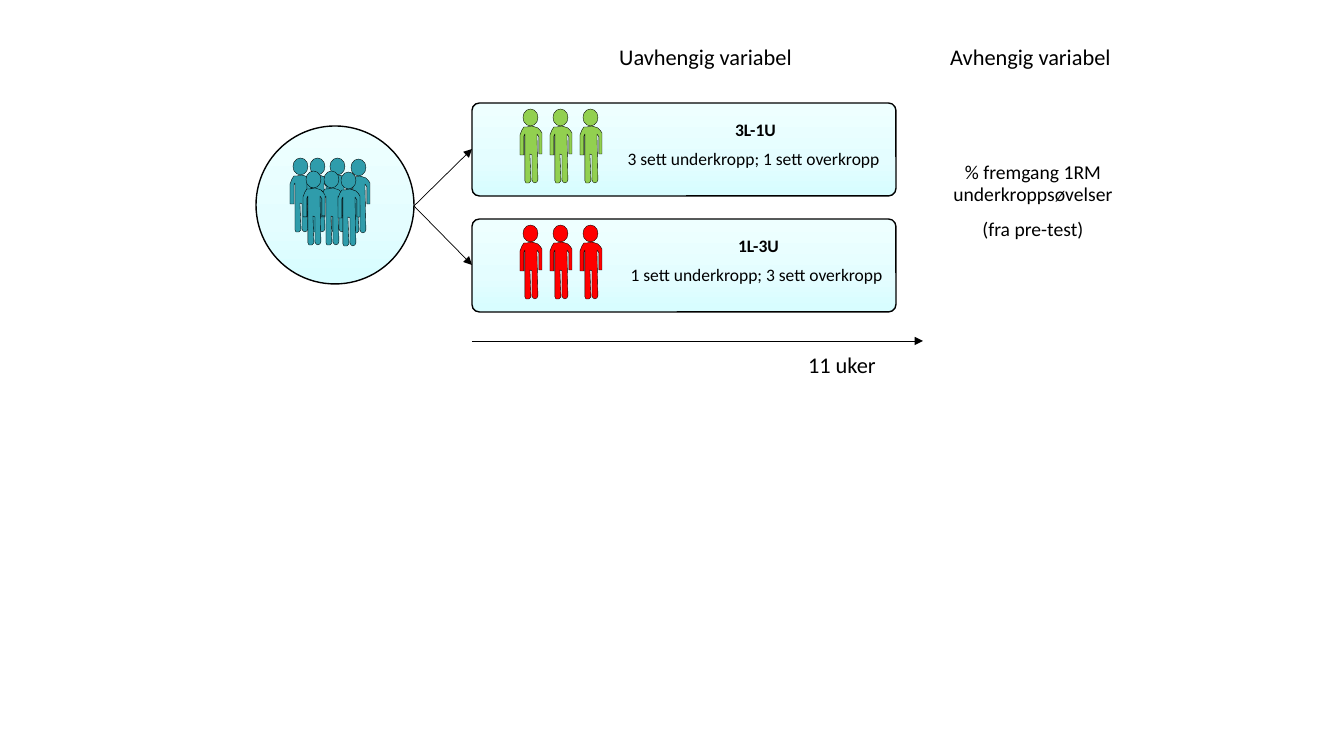
from copy import deepcopy
from dataclasses import dataclass

from pptx import Presentation
from pptx import util as u
from pptx.dml.color import RGBColor
from pptx.enum import shapes, text
from pptx.oxml.ns import qn
from pptx.oxml.xmlchemy import OxmlElement


@dataclass(frozen=True)
class Theme:
    """Colours, type sizes and line widths of the slide."""
    font: str = "Calibri"
    ink: RGBColor = RGBColor(0, 0, 0)
    sample: RGBColor = RGBColor(0x2F, 0x9C, 0xAB)
    lower_focus: RGBColor = RGBColor(0x92, 0xD0, 0x50)
    upper_focus: RGBColor = RGBColor(0xFF, 0, 0)
    panel: tuple = ((0.02, "EEFFFF"), (0.61, "E4FDFF"), (0.96, "D8FDFF"))
    heading: float = 16
    outcome: float = 14
    group: float = 12.5
    panel_line: float = 1
    arrow_line: float = 0.5
    person_line: float = 0.25


THEME = Theme()
EMU_PER_PX = 914400 / 100.8


def px(*lengths):
    """Turn pixel lengths into EMU."""
    return [u.Emu(round(length * EMU_PER_PX)) for length in lengths]


def add_text(box, *lines, size=THEME.heading, spacing=0.9, bold_first=False):
    """Add a centred text box with one paragraph per line."""
    frame = slide.shapes.add_textbox(*px(*box)).text_frame
    frame.word_wrap = True
    for index, line in enumerate(lines):
        paragraph = frame.paragraphs[0] if index == 0 else frame.add_paragraph()
        paragraph.alignment = text.PP_ALIGN.CENTER
        paragraph.line_spacing = spacing
        paragraph.space_before = u.Pt(10)
        run = paragraph.add_run()
        run.text = line
        run.font.name = THEME.font
        run.font.size = u.Pt(size)
        run.font.bold = bold_first and index == 0
        run.font.color.rgb = THEME.ink


prs = Presentation()
prs.slide_width, prs.slide_height = px(1344, 756)
slide = prs.slides.add_slide(prs.slide_layouts[6])

# Layout of the two training groups
CARD_LEFT, CARD_W, CARD_H = 472, 424, 93
CARD_TOPS = (103, 219)
training_groups = (
    (CARD_TOPS[0], THEME.lower_focus, 603, "3L-1U",
     "3 sett underkropp; 1 sett overkropp "),
    (CARD_TOPS[1], THEME.upper_focus, 606, "1L-3U",
     "1 sett underkropp; 3 sett overkropp "),
)

# Sample circle and group cards
panels = [(shapes.MSO_SHAPE.OVAL, (256, 126, 158, 158))]
panels += [(shapes.MSO_SHAPE.ROUNDED_RECTANGLE, (CARD_LEFT, top, CARD_W, CARD_H))
           for top in CARD_TOPS]
for preset, box in panels:
    panel = slide.shapes.add_shape(preset, *px(*box))
    panel.shadow.inherit = False
    if preset == shapes.MSO_SHAPE.ROUNDED_RECTANGLE:
        panel.adjustments[0] = 0.08
    panel.line.color.rgb = THEME.ink
    panel.line.width = u.Pt(THEME.panel_line)
    panel.fill.gradient()
    panel.fill.gradient_angle = 270
    stop_list = panel.fill._xPr.find(qn("a:gradFill")).find(qn("a:gsLst"))
    stop_list.append(deepcopy(stop_list[0]))
    for stop, (position, colour) in zip(panel.fill.gradient_stops, THEME.panel):
        stop.position = position
        stop.color.rgb = RGBColor.from_string(colour)

# People: the whole sample, then three in each group
BODY = ((0, 29), (0, 9), (2, 4), (4, 1), (7, 1), (12, 0), (15, 1), (18, 2),
        (20, 4), (22, 7), (22, 28), (19, 28), (19, 11), (17, 8), (18, 54),
        (17, 56), (15, 57), (13, 56), (12, 54), (12, 29), (10, 28), (11, 55),
        (9, 57), (6, 57), (5, 55), (5, 8), (4, 10), (4, 29))
people = [(left, top, THEME.sample) for left, top in (
    (290, 158), (307, 158), (327, 158), (348, 159),
    (321, 171), (338, 172), (303, 171))]
people += [(520 + 30 * place, card_top + 6, colour)
           for card_top, colour, *_ in training_groups for place in range(3)]
for left, top, colour in people:
    person = slide.shapes.add_group_shape().shapes
    head = person.add_shape(shapes.MSO_SHAPE.OVAL, *px(left + 3, top, 15, 17))
    outline = person.build_freeform(*BODY[0], scale=EMU_PER_PX)
    outline.add_line_segments(BODY[1:], close=True)
    body = outline.convert_to_shape(*px(left, top + 17))
    for part in (head, body):
        part.shadow.inherit = False
        part.fill.solid()
        part.fill.fore_color.rgb = colour
        part.line.color.rgb = THEME.ink
        part.line.width = u.Pt(THEME.person_line)

# Group descriptions
for card_top, _, left, code, sets in training_groups:
    add_text((left, card_top + 17, 305, 57), code, sets,
             size=THEME.group, spacing=0.7, bold_first=True)

# Allocation arrows and the time line
arrows = [(414, 206, CARD_LEFT, top + CARD_H // 2) for top in CARD_TOPS]
arrows.append((CARD_LEFT, 341, 923, 341))
for ends in arrows:
    arrow = slide.shapes.add_connector(shapes.MSO_CONNECTOR.STRAIGHT, *px(*ends))
    arrow.line.color.rgb = THEME.ink
    arrow.line.width = u.Pt(THEME.arrow_line)
    tip = OxmlElement("a:tailEnd")
    tip.set("type", "triangle")
    arrow.line._get_or_add_ln().append(tip)
    arrow._element.spPr.append(OxmlElement("a:effectLst"))

# Headings, duration and outcome
add_text((793, 349, 103, 57), "11 uker ")
add_text((538, 41, 335, 57), "Uavhengig variabel")
add_text((863, 41, 335, 57), "Avhengig variabel")
add_text((934, 158, 198, 172), "% fremgang 1RM underkroppsøvelser",
         "(fra pre-test)", size=THEME.outcome)

prs.save("out.pptx")
